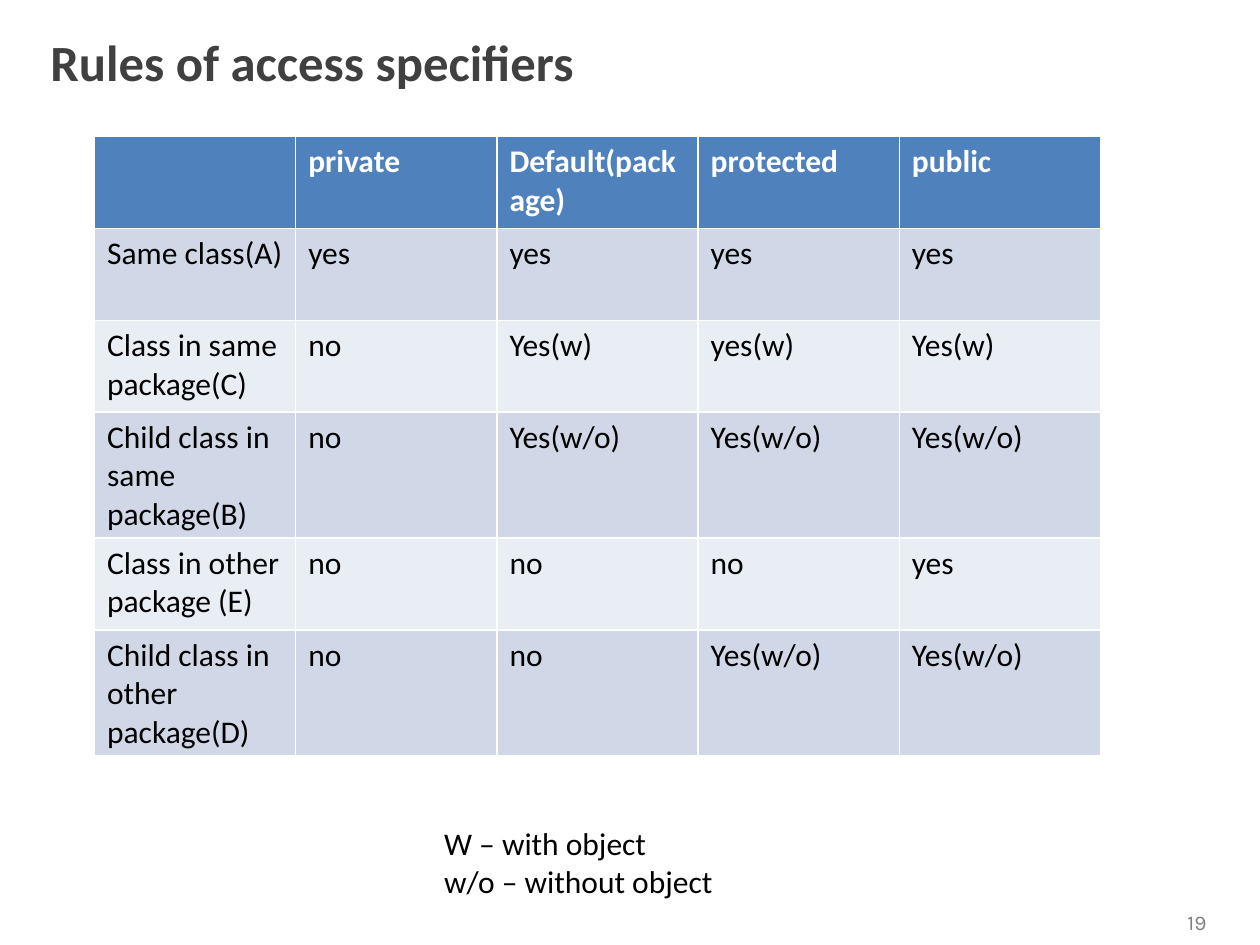
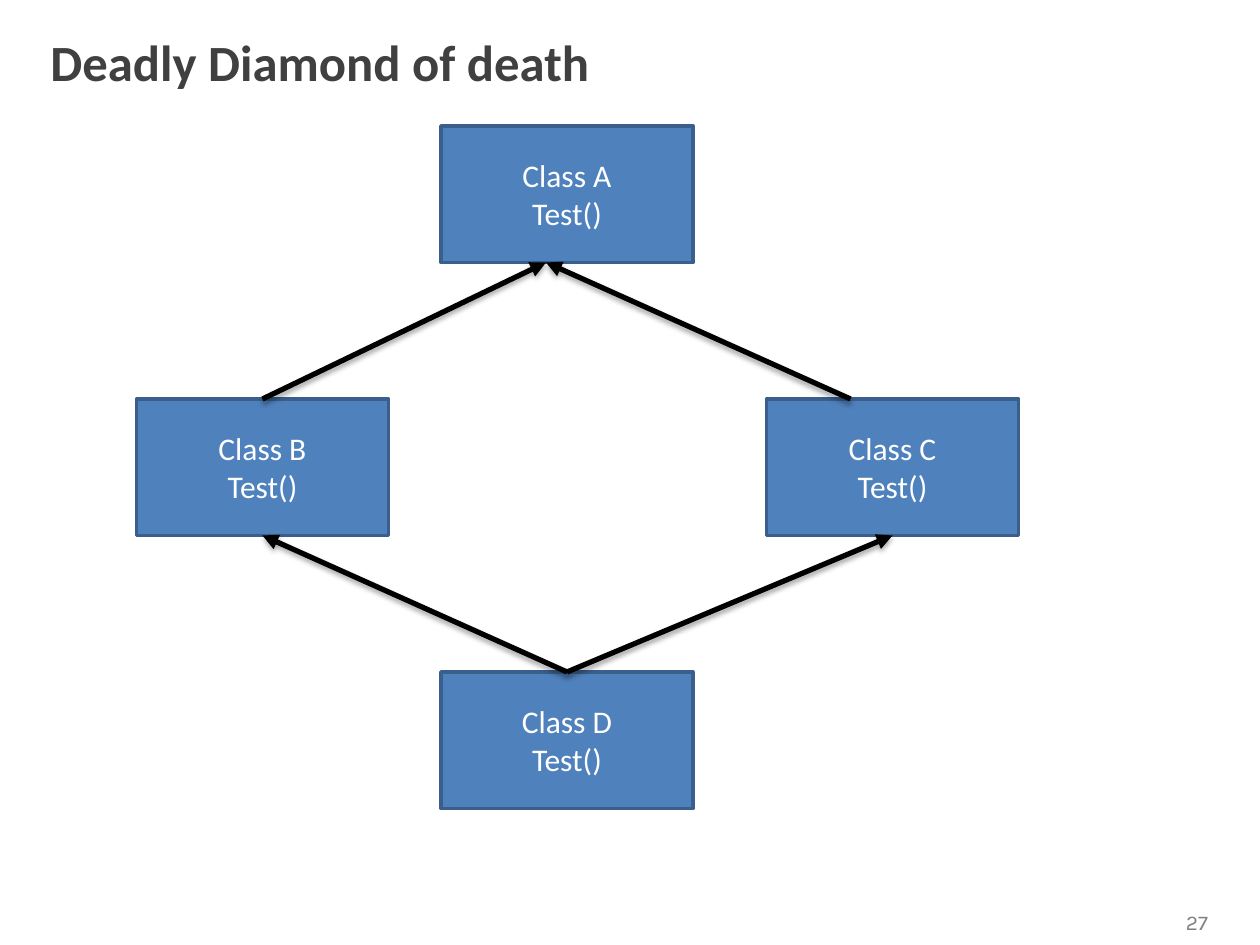
import pptx
import pptx.util
import pptx.dml.color
import pptx.enum.shapes
import pptx.enum.text
import pptx.oxml
import pptx.oxml.ns

Pt = pptx.util.Pt
ALIGN = pptx.enum.text.PP_ALIGN
ANCHOR = pptx.enum.text.MSO_ANCHOR
SHAPE = pptx.enum.shapes.MSO_SHAPE
STRAIGHT = pptx.enum.shapes.MSO_CONNECTOR.STRAIGHT

# Shared colours
BLUE, EDGE = "4F81BD", "3A5F8C"
BANDS = ["D0D8E8", "E9EDF4"]
WHITE, BLACK, TITLE, GREY = "FFFFFF", "000000", "404040", "808080"


def rgb(color):
    return pptx.dml.color.RGBColor.from_string(color)


def write(tf, text, size=18, color=BLACK, bold=False, font="Calibri", align=ALIGN.LEFT):
    for i, line in enumerate(text.split("\n")):
        p = tf.add_paragraph() if i else tf.paragraphs[0]
        p.alignment = align
        r = p.add_run()
        r.text = line
        r.font.name, r.font.size, r.font.bold = font, Pt(size), bold
        r.font.color.rgb = rgb(color)


prs = pptx.Presentation()
prs.slide_width, prs.slide_height = Pt(720), Pt(540)

# Title and slide number of both slides
slides = []
for title, number in [("Rules of access specifiers", "19"), ("Deadly Diamond of death", "27")]:
    s = prs.slides.add_slide(prs.slide_layouts[5])
    slides.append(s)
    sp = s.shapes.title
    sp.left, sp.top, sp.width, sp.height = Pt(21.6), Pt(12), Pt(674), Pt(45.5)
    sp.text_frame.vertical_anchor = ANCHOR.MIDDLE
    write(sp.text_frame, title, size=29, color=TITLE, bold=True)
    sp = s.shapes.add_textbox(Pt(666), Pt(516), Pt(36), Pt(21.8))
    sp.text_frame.word_wrap = True
    write(sp.text_frame, number, size=12, color=GREY, font="Karla", align=ALIGN.CENTER)
rules, diamond = slides

# Access table: borders come from the default table style
rows = [
    ["", "private", "Default(package)", "protected", "public"],
    ["Same class(A)", "yes", "yes", "yes", "yes"],
    ["Class in same package(C)", "no", "Yes(w)", "yes(w)", "Yes(w)"],
    ["Child class in same package(B)", "no", "Yes(w/o)", "Yes(w/o)", "Yes(w/o)"],
    ["Class in other package (E)", "no", "no", "no", "yes"],
    ["Child class in other package(D)", "no", "no", "Yes(w/o)", "Yes(w/o)"],
]
table = rules.shapes.add_table(6, 5, Pt(54), Pt(78), Pt(575), Pt(315)).table
for i, row in enumerate(rows):
    table.rows[i].height = Pt(52.5)
    for j, text in enumerate(row):
        cell = table.cell(i, j)
        cell.fill.solid()
        cell.fill.fore_color.rgb = rgb(BANDS[(i - 1) % 2] if i else BLUE)
        if text:
            write(cell.text_frame, text, color=BLACK if i else WHITE, bold=i == 0)

# Key to the table
sp = rules.shapes.add_textbox(Pt(246.7), Pt(467.5), Pt(170), Pt(51))
sp.text_frame.word_wrap = False
write(sp.text_frame, "W – with object\nw/o – without object")

# Class boxes, three levels at equal steps
W, H, TOP, STEP = 144, 78, 72, 156
for name, x, level in [("A", 252, 0), ("D", 252, 2), ("B", 78, 1), ("C", 438, 1)]:
    sp = diamond.shapes.add_shape(SHAPE.RECTANGLE, Pt(x), Pt(TOP + level * STEP), Pt(W), Pt(H))
    sp.shadow.inherit = False
    sp.fill.solid()
    sp.fill.fore_color.rgb = rgb(BLUE)
    sp.line.color.rgb = rgb(EDGE)
    sp.line.width = Pt(2)
    sp.text_frame.vertical_anchor = ANCHOR.MIDDLE
    write(sp.text_frame, f"Class {name}\nTest()", color=WHITE, align=ALIGN.CENTER)

# Inheritance arrows: from the top of a child to the bottom of its parent
NS = pptx.oxml.ns.nsdecls("a")
HEAD = f'<a:tailEnd {NS} type="triangle"/>'
SHADOW = (
    f'<a:effectLst {NS}><a:outerShdw blurRad="{Pt(3.1)}" dist="{Pt(1.8)}" dir="5400000" rotWithShape="0">'
    f'<a:srgbClr val="{BLACK}"><a:alpha val="35000"/></a:srgbClr></a:outerShdw></a:effectLst>'
)
for x1, x2, level in [(150, 312, 1), (324, 150, 2), (486, 312, 1), (324, 510, 2)]:
    y1 = TOP + level * STEP
    y2 = y1 - STEP + H
    line = diamond.shapes.add_connector(STRAIGHT, Pt(x1), Pt(y1), Pt(x2), Pt(y2))
    line.line.color.rgb = rgb(BLACK)
    line.line.width = Pt(3)
    spPr = line._element.spPr
    spPr.find(pptx.oxml.ns.qn("a:ln")).append(pptx.oxml.parse_xml(HEAD))
    spPr.append(pptx.oxml.parse_xml(SHADOW))

prs.save("out.pptx")
